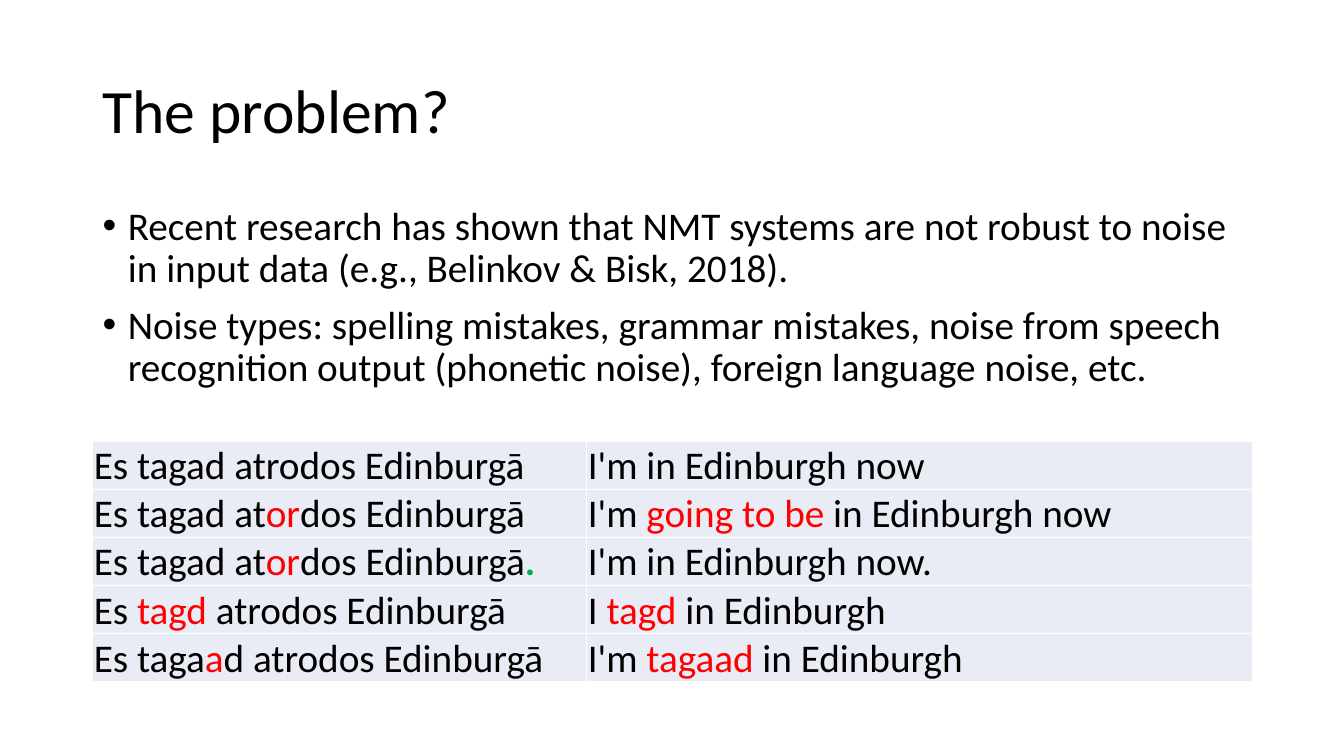
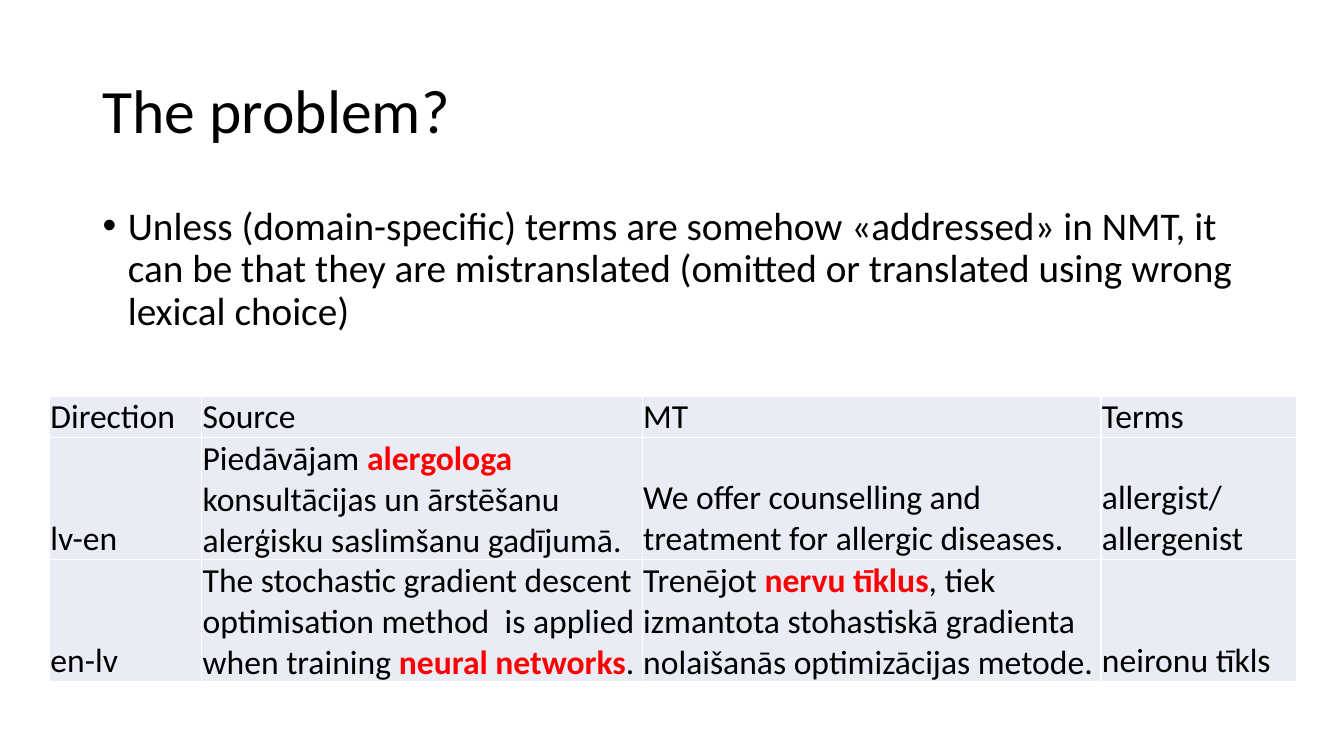
from dataclasses import dataclass

from lxml.etree import SubElement
from pptx import Presentation
from pptx.dml.color import RGBColor
from pptx.enum.text import MSO_ANCHOR as Anchor
from pptx.oxml import parse_xml
from pptx.oxml.ns import nsdecls, qn
from pptx.slide import Slide
from pptx.table import _Cell as Cell
from pptx.text.text import TextFrame, _Paragraph as Paragraph
from pptx.util import Inches, Pt


@dataclass(frozen=True)
class Theme:
    font: str = "Calibri"
    ink: str = "000000"
    error: str = "FF0000"
    correct: str = "00B050"
    cell: str = "E9EBF5"
    border: str = "FFFFFF"
    border_width: float = 1
    title_size: float = 44
    body_size: float = 28
    small_size: float = 24
    line_spacing: float = 0.9
    bullet_gap: float = 10
    bullet_indent: float = 0.25
    cell_margin: float = 0.01


THEME = Theme()


@dataclass(frozen=True)
class Box:
    left: float
    top: float
    width: float
    height: float


TITLE_BOX = Box(0.92, 0.4, 11.5, 1.45)
BODY_BOX = Box(0.92, 2, 11.5, 4.76)


@dataclass(frozen=True)
class Span:
    text: str
    color: str = THEME.ink
    bold: bool = False


Content = str | tuple[str | Span, ...]


@dataclass(frozen=True)
class Grid:
    left: float
    top: float
    columns: tuple[float, ...]
    heights: tuple[float, ...]
    size: float
    rows: tuple[tuple[Content, ...], ...]


@dataclass(frozen=True)
class Page:
    title: str
    bullets: tuple[str, ...]
    grid: Grid


def wrong(text: str) -> Span:
    return Span(text, THEME.error)


def term(text: str) -> Span:
    return Span(text, THEME.error, True)


def write(paragraph: Paragraph, content: Content, size: float) -> None:
    parts = (content,) if isinstance(content, str) else content
    for part in parts:
        span = Span(part) if isinstance(part, str) else part
        run = paragraph.add_run()
        run.text = span.text
        run.font.name = THEME.font
        run.font.size = Pt(size)
        run.font.bold = span.bold
        run.font.color.rgb = RGBColor.from_string(span.color)


def add_text_frame(slide: Slide, box: Box, anchor: Anchor) -> TextFrame:
    shape = slide.shapes.add_textbox(
        Inches(box.left), Inches(box.top), Inches(box.width), Inches(box.height)
    )
    shape.text_frame.word_wrap = True
    shape.text_frame.vertical_anchor = anchor
    return shape.text_frame


def add_title(slide: Slide, title: str) -> None:
    paragraph = add_text_frame(slide, TITLE_BOX, Anchor.MIDDLE).paragraphs[0]
    paragraph.line_spacing = THEME.line_spacing
    write(paragraph, title, THEME.title_size)


def add_bullets(slide: Slide, bullets: tuple[str, ...]) -> None:
    text_frame = add_text_frame(slide, BODY_BOX, Anchor.TOP)
    for index, bullet in enumerate(bullets):
        paragraph = text_frame.add_paragraph() if index else text_frame.paragraphs[0]
        paragraph.line_spacing = THEME.line_spacing
        paragraph.space_before = Pt(THEME.bullet_gap)
        properties = paragraph._p.get_or_add_pPr()
        indent = Inches(THEME.bullet_indent)
        properties.set("marL", str(indent))
        properties.set("indent", str(-indent))
        SubElement(properties, qn("a:buFont"), typeface="Arial")
        SubElement(properties, qn("a:buChar"), char="•")
        write(paragraph, bullet, THEME.body_size)


def style_cell(cell: Cell) -> None:
    cell.margin_left = cell.margin_right = cell.margin_top = Inches(THEME.cell_margin)
    cell.margin_bottom = 0
    cell.vertical_anchor = Anchor.BOTTOM
    cell.fill.solid()
    cell.fill.fore_color.rgb = RGBColor.from_string(THEME.cell)
    properties = cell._tc.get_or_add_tcPr()
    for index, side in enumerate(("lnL", "lnR", "lnT", "lnB")):
        properties.insert(index, parse_xml(
            f'<a:{side} {nsdecls("a")} w="{Pt(THEME.border_width)}"><a:solidFill>'
            f'<a:srgbClr val="{THEME.border}"/></a:solidFill></a:{side}>'
        ))


def add_grid(slide: Slide, grid: Grid) -> None:
    table = slide.shapes.add_table(
        len(grid.rows), len(grid.columns), Inches(grid.left), Inches(grid.top),
        Inches(sum(grid.columns)), Inches(sum(grid.heights)),
    ).table
    table.first_row = table.horz_banding = False
    for column, width in zip(table.columns, grid.columns):
        column.width = Inches(width)
    for row, height, contents in zip(table.rows, grid.heights, grid.rows):
        row.height = Inches(height)
        for cell, content in zip(row.cells, contents):
            style_cell(cell)
            write(cell.text_frame.paragraphs[0], content, grid.size)


NOISE_GRID = Grid(0.92, 4.38, (4.9, 6.6), (0.47,) * 5, THEME.body_size, (
    ("Es tagad atrodos Edinburgā", "I'm in Edinburgh now"),
    (("Es tagad at", wrong("or"), "dos Edinburgā"),
     ("I'm ", wrong("going to be"), " in Edinburgh now")),
    (("Es tagad at", wrong("or"), "dos Edinburgā", Span(".", THEME.correct, True)),
     "I'm in Edinburgh now."),
    (("Es ", wrong("tagd"), " atrodos Edinburgā"),
     ("I ", wrong("tagd "), "in Edinburgh")),
    (("Es taga", wrong("a"), "d atrodos Edinburgā"),
     ("I'm ", wrong("tagaad "), "in Edinburgh")),
))

TERM_GRID = Grid(0.49, 3.93, (1.51, 4.37, 4.55, 1.94), (0.4, 1.21, 1.21), THEME.small_size, (
    ("Direction", "Source", "MT", "Terms"),
    ("lv-en",
     ("Piedāvājam ", term("alergologa"),
      " konsultācijas un ārstēšanu alerģisku saslimšanu gadījumā."),
     "We offer counselling and treatment for allergic diseases.",
     "allergist/ allergenist"),
    ("en-lv",
     ("The stochastic gradient descent optimisation method  is applied when training ",
      term("neural networks"), "."),
     ("Trenējot ", term("nervu tīklus"),
      ", tiek izmantota stohastiskā gradienta nolaišanās optimizācijas metode."),
     "neironu tīkls"),
))

PAGES = (
    Page("The problem?", (
        "Recent research has shown that NMT systems are not robust to noise in input data "
        "(e.g., Belinkov & Bisk, 2018).",
        "Noise types: spelling mistakes, grammar mistakes, noise from speech recognition "
        "output (phonetic noise), foreign language noise, etc.",
    ), NOISE_GRID),
    Page("The problem?", (
        "Unless (domain-specific) terms are somehow «addressed» in NMT, it can be that they "
        "are mistranslated (omitted or translated using wrong lexical choice)",
    ), TERM_GRID),
)


def main() -> None:
    presentation = Presentation()
    presentation.slide_width = Inches(13.33)
    presentation.slide_height = Inches(7.5)
    for page in PAGES:
        slide = presentation.slides.add_slide(presentation.slide_layouts[6])
        add_title(slide, page.title)
        add_bullets(slide, page.bullets)
        add_grid(slide, page.grid)
    presentation.save("out.pptx")


main()
